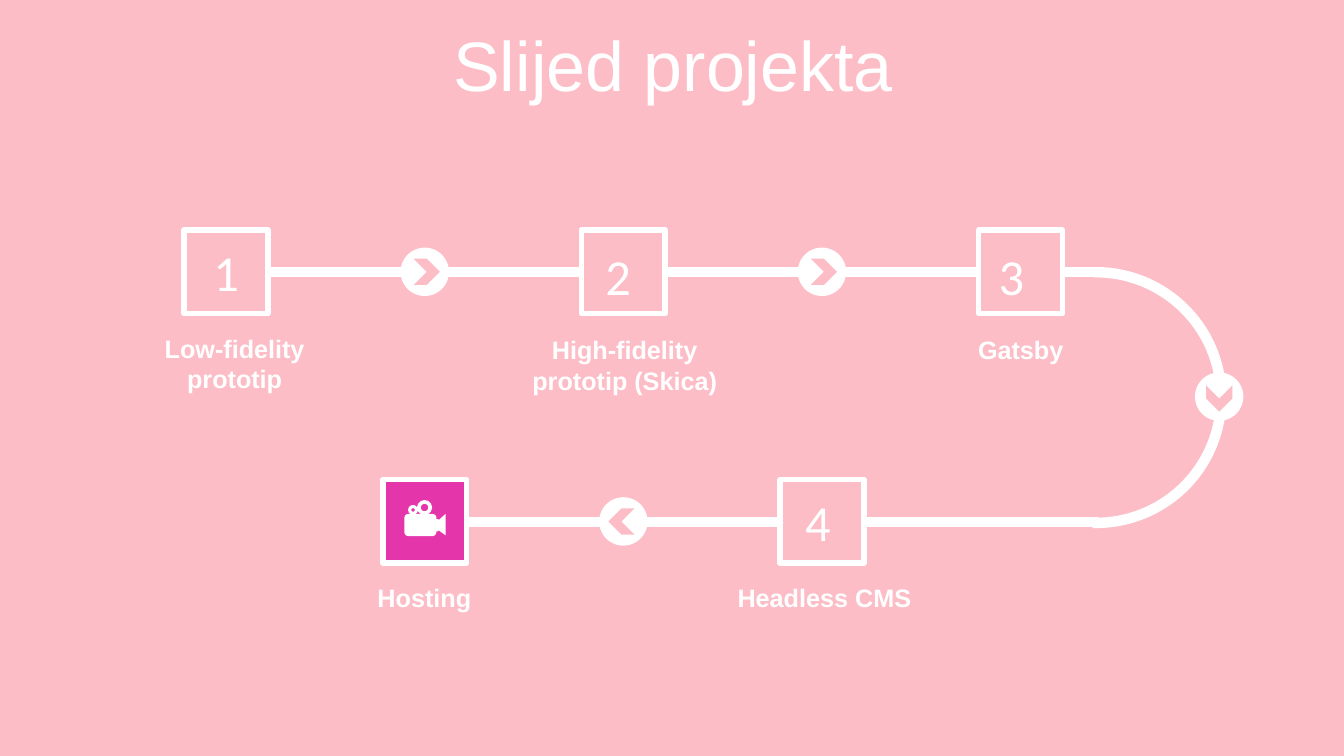
from pptx import Presentation
from pptx.dml.color import RGBColor
from pptx.enum.shapes import MSO_SHAPE
from pptx.enum.text import MSO_ANCHOR, PP_ALIGN
from pptx.util import Cm, Pt

RECTANGLE = MSO_SHAPE.RECTANGLE
ROUNDED = MSO_SHAPE.ROUNDED_RECTANGLE
OVAL = MSO_SHAPE.OVAL
CHEVRON = MSO_SHAPE.CHEVRON
DONUT = MSO_SHAPE.DONUT
BLOCK_ARC = MSO_SHAPE.BLOCK_ARC
LEFT, CENTER = PP_ALIGN.LEFT, PP_ALIGN.CENTER
TOP, MIDDLE = MSO_ANCHOR.TOP, MSO_ANCHOR.MIDDLE

PINK = RGBColor(0xFD, 0xBD, 0xC7)
MAGENTA = RGBColor(0xE5, 0x35, 0xAB)
WHITE = RGBColor(0xFF, 0xFF, 0xFF)

# Grid of the flow, in centimetres
FIRST_X, COLUMN_PITCH = 5.7, 10.01
FIRST_Y, ROW_PITCH = 6.85, 6.29
BOX_SIZE, CIRCLE_SIZE, CHEVRON_SIZE = 2.11, 1.22, 0.66
CHEVRON_SHIFT = 0.05

# Column, row, fill, number with its left and top, label with its left and top
STEPS = [
    (0, 0, PINK, "1", 5.13, 5.94, "Low-fidelity prototip", 3.02, 8.28),
    (1, 0, PINK, "2", 15.01, 6.05, "High-fidelity prototip (Skica)", 12.85, 8.31),
    (2, 0, PINK, "3", 24.92, 6.05, "Gatsby", 22.83, 8.31),
    (1.5, 1, PINK, "4", 20.04, 12.24, "Headless CMS", 17.88, 14.55),
    (0.5, 1, MAGENTA, None, 0, 0, "Hosting", 7.8, 14.55),
]

# Column, row, rotation, horizontal and vertical direction
MARKERS = [
    (0.5, 0, 0, 1, 0),
    (1.5, 0, 0, 1, 0),
    (2.5, 0.5, 90, 0, 1),
    (1, 1, 180, -1, 0),
]


def grid_point(column, row):
    return FIRST_X + column * COLUMN_PITCH, FIRST_Y + row * ROW_PITCH


def paint(shape, fill, outline=None):
    shape.shadow.inherit = False
    shape.fill.solid()
    shape.fill.fore_color.rgb = fill
    if outline is None:
        shape.line.fill.background()
    else:
        shape.line.color.rgb = outline
        shape.line.width = Pt(4)


def add_figure(slide, kind, left, top, width, height, fill,
               outline=None, adjustments=()):
    shape = slide.shapes.add_shape(kind, Cm(left), Cm(top), Cm(width), Cm(height))
    for index, value in enumerate(adjustments):
        shape.adjustments[index] = value
    paint(shape, fill, outline)
    return shape


def add_centered(slide, kind, x, y, size, fill, outline=None, adjustments=()):
    return add_figure(slide, kind, x - size / 2, y - size / 2, size, size,
                      fill, outline, adjustments)


def add_text(slide, text, left, top, width, height, size, font="Arial",
             bold=False, alignment=CENTER, anchor=TOP):
    box = slide.shapes.add_textbox(Cm(left), Cm(top), Cm(width), Cm(height))
    frame = box.text_frame
    frame.word_wrap = True
    frame.vertical_anchor = anchor
    paragraph = frame.paragraphs[0]
    paragraph.text = text
    paragraph.alignment = alignment
    paragraph.font.size = Pt(size)
    paragraph.font.name = font
    paragraph.font.bold = bold
    paragraph.font.color.rgb = WHITE
    return paragraph


def add_track(slide):
    add_figure(slide, BLOCK_ARC, 24.33, 6.73, 6.58, 6.58, WHITE,
               adjustments=(161.274, 54.902, 0.04))
    add_figure(slide, RECTANGLE, 6.76, 6.73, 21.01, 0.25, WHITE)
    add_figure(slide, RECTANGLE, 11.79, 13.03, 15.9, 0.25, WHITE)


def add_marker(slide, column, row, rotation, across, down):
    x, y = grid_point(column, row)
    add_centered(slide, OVAL, x, y, CIRCLE_SIZE, WHITE)
    chevron = add_centered(slide, CHEVRON, x + across * CHEVRON_SHIFT,
                           y + down * CHEVRON_SHIFT, CHEVRON_SIZE, PINK)
    chevron.rotation = rotation


def add_step(slide, column, row, fill, number, number_left, number_top,
             label, label_left, label_top):
    x, y = grid_point(column, row)
    add_centered(slide, RECTANGLE, x, y, BOX_SIZE, fill, WHITE)
    if number:
        add_text(slide, number, number_left, number_top, 3.02, 1.8, 36,
                 font="Calibri", alignment=LEFT)
    add_text(slide, label, label_left, label_top, 5.79, 1.02, 18, bold=True)


def add_camera(slide):
    # Reels and body
    add_centered(slide, DONUT, 10.41, 12.85, 0.25, WHITE, adjustments=(0.32,))
    add_centered(slide, DONUT, 10.7, 12.79, 0.38, WHITE, adjustments=(0.25,))
    add_figure(slide, ROUNDED, 10.19, 12.95, 0.81, 0.56, WHITE,
               adjustments=(0.18,))
    # Lens
    outline = [(10.98, 13.08), (11.05, 13.08), (11.05, 13.11), (11.23, 12.95),
               (11.23, 13.49), (11.05, 13.36), (11.05, 13.39), (10.98, 13.39)]
    points = [(Cm(x), Cm(y)) for x, y in outline]
    builder = slide.shapes.build_freeform(*points[0])
    builder.add_line_segments(points[1:], close=True)
    paint(builder.convert_to_shape(), WHITE)


def main():
    presentation = Presentation()
    presentation.slide_width = Cm(33.87)
    presentation.slide_height = Cm(19.05)
    slide = presentation.slides.add_slide(presentation.slide_layouts[6])
    slide.background.fill.solid()
    slide.background.fill.fore_color.rgb = PINK

    # Title
    title = add_text(slide, "Slijed projekta", 0.89, 0.79, 32.16, 2.01, 50,
                     anchor=MIDDLE)
    title.line_spacing = 0.8

    # Flow
    add_track(slide)
    for marker in MARKERS:
        add_marker(slide, *marker)
    for step in STEPS:
        add_step(slide, *step)
    add_camera(slide)

    presentation.save("out.pptx")


if __name__ == "__main__":
    main()
